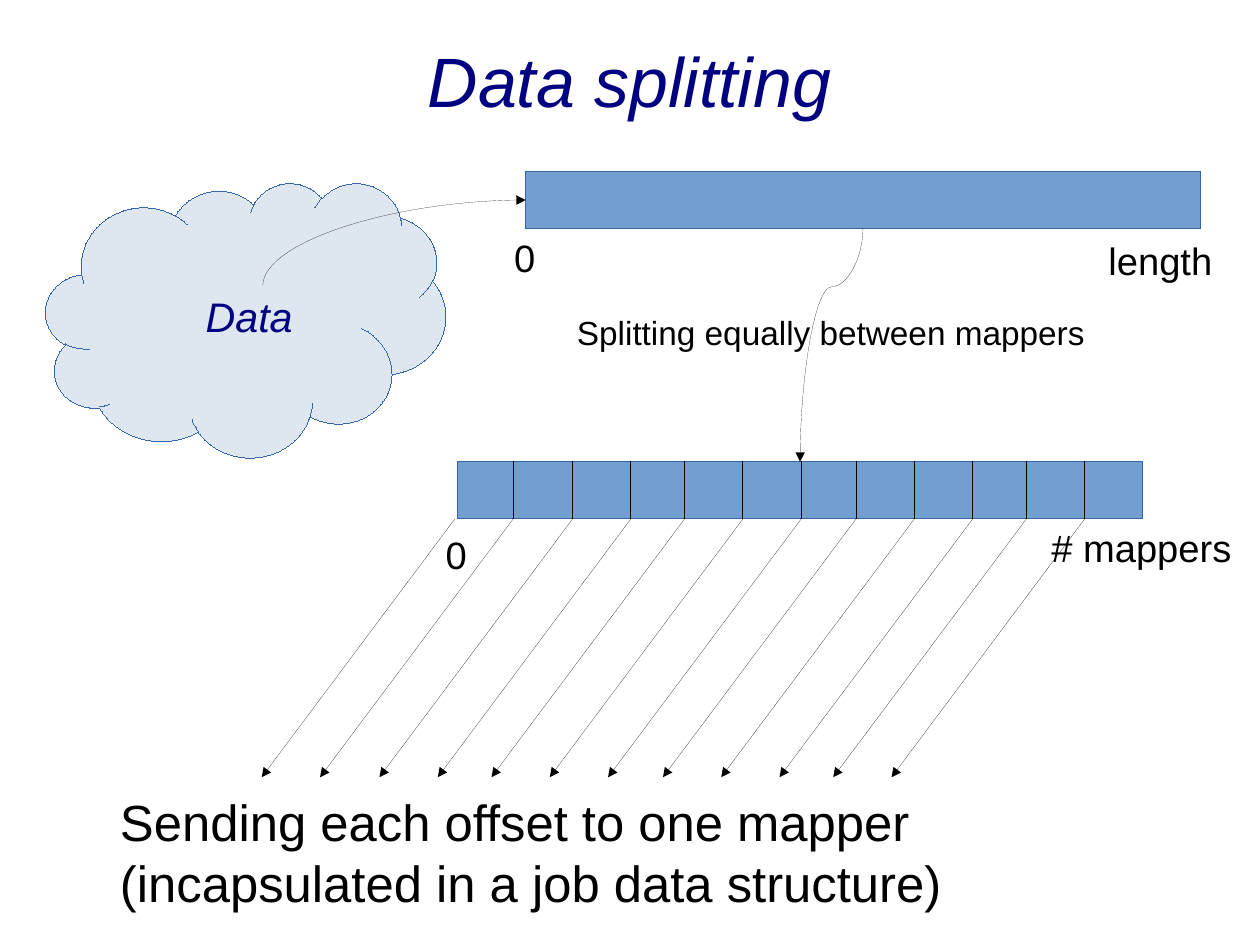
from lxml import etree
from pptx import Presentation
from pptx.dml.color import RGBColor
from pptx.enum import shapes, text
from pptx.oxml import ns
from pptx.util import Inches, Pt

COLORS = {"navy": "000080", "black": "000000", "bar": "729FCF", "cloud": "DEE6EF", "edge": "3465A4"}
SLIDE_SIZE = (28 / 2.54, 21 / 2.54)
FONT = "Arial"

TITLE = ("Data splitting", (0.55, 0.01, 9.92, 1.38))
SUMMARY = ("Sending each offset to one mapper (incapsulated in a job data structure)", (0.58, 6.92, 9.84, 1.3))
CLOUD_LABEL = ("Data", (1.7, 2.5, 1.2, 0.7))
LABELS = [
    ("length", (9.6, 2.03, 1.3, 0.57), 24),
    ("0", (4.4, 2, 0.6, 0.6), 24),
    ("Splitting equally between mappers", (4.95, 2.68, 4.77, 0.58), 21),
    ("0", (3.8, 4.6, 0.6, 0.6), 24),
    ("# mappers", (9.1, 4.54, 1.8, 1.21), 24),
]
CLOUD = (0.4, 1.6, 3.5, 2.4)
DATA_BAR = (4.6, 1.5, 5.9, 0.5)
MAPPER_BAR = (4, 4.04, 6, 0.5)
OFFSETS = [3.98, 4.49, 5.01, 5.52, 5.99, 6.5, 7.01, 7.49, 8, 8.51, 8.98, 9.49]
ARROW_SHIFT = 1.69
ARROW_END = 6.8
SPLIT_TARGET = 7

deck = Presentation()
deck.slide_width, deck.slide_height = map(Inches, SLIDE_SIZE)
slide = deck.slides.add_slide(deck.slide_layouts[6])


def rgb(name):
    return RGBColor.from_string(COLORS[name])


def add_text(words, box, size=24, color="black", italic=False, align=text.PP_ALIGN.LEFT,
             anchor=text.MSO_ANCHOR.TOP, margins=(0.1, 0.05), indent=0, after=0):
    frame = slide.shapes.add_textbox(*map(Inches, box)).text_frame
    frame.word_wrap = True
    frame.vertical_anchor = anchor
    frame.margin_left = frame.margin_right = Inches(margins[0])
    frame.margin_top = frame.margin_bottom = Inches(margins[1])
    paragraph = frame.paragraphs[0]
    paragraph.alignment = align
    paragraph.space_after = Pt(after)
    if indent:
        properties = paragraph._p.get_or_add_pPr()
        properties.set("marL", str(Inches(indent)))
        properties.set("indent", "0")
    run = paragraph.add_run()
    run.text = words
    run.font.name = FONT
    run.font.size = Pt(size)
    run.font.italic = italic
    run.font.color.rgb = rgb(color)


def set_hairline(line, color):
    line.color.rgb = rgb(color)
    outline = line._get_or_add_ln()
    outline.set("w", "0")
    return outline


def add_block(kind, box, fill):
    block = slide.shapes.add_shape(kind, *map(Inches, box))
    block.shadow.inherit = False
    block.fill.solid()
    block.fill.fore_color.rgb = rgb(fill)
    set_hairline(block.line, "edge")


def add_line(begin, end, kind=shapes.MSO_CONNECTOR.STRAIGHT, arrow=True):
    connector = slide.shapes.add_connector(kind, *map(Inches, (*begin, *end)))
    outline = set_hairline(connector.line, "black")
    if arrow:
        etree.SubElement(outline, ns.qn("a:tailEnd"), type="triangle")
    etree.SubElement(connector._element.spPr, ns.qn("a:effectLst"))
    return connector


def add_curve(begin, end, preset, flip=False, bend=None):
    middle_x, middle_y = (begin[0] + end[0]) / 2, (begin[1] + end[1]) / 2
    half_w, half_h = abs(end[1] - begin[1]) / 2, abs(end[0] - begin[0]) / 2
    curve = add_line((middle_x - half_w, middle_y - half_h), (middle_x + half_w, middle_y + half_h),
                     kind=shapes.MSO_CONNECTOR.CURVE)
    properties = curve._element.spPr
    frame = properties.find(ns.qn("a:xfrm"))
    frame.set("rot", "5400000")
    if flip:
        frame.set("flipH", "1")
        frame.set("flipV", "1")
    geometry = properties.find(ns.qn("a:prstGeom"))
    geometry.set("prst", preset)
    if bend is not None:
        guides = geometry.find(ns.qn("a:avLst"))
        etree.SubElement(guides, ns.qn("a:gd"), name="adj1", fmla=f"val {round(bend * 100000)}")


add_text(*TITLE, size=44, color="navy", italic=True, align=text.PP_ALIGN.CENTER,
         anchor=text.MSO_ANCHOR.MIDDLE, margins=(0, 0))
add_text(*SUMMARY, size=32, margins=(0, 0), indent=0.47, after=14.2)

add_block(shapes.MSO_SHAPE.CLOUD, CLOUD, "cloud")
add_text(*CLOUD_LABEL, size=26, color="navy", italic=True)
for bar in (DATA_BAR, MAPPER_BAR):
    add_block(shapes.MSO_SHAPE.RECTANGLE, bar, "bar")

data_left, data_top, data_width, data_height = DATA_BAR
mapper_top = MAPPER_BAR[1]
mapper_bottom = mapper_top + MAPPER_BAR[3]
add_curve((2.3, 2.5), (data_left, data_top + data_height / 2), "curvedConnector2", flip=True)
add_curve((data_left + data_width / 2, data_top + data_height), (SPLIT_TARGET, mapper_top),
          "curvedConnector3", bend=0.25)

for offset in OFFSETS[1:]:
    add_line((offset, mapper_top), (offset, mapper_bottom), arrow=False)
for offset in OFFSETS:
    add_line((offset, mapper_bottom), (offset - ARROW_SHIFT, ARROW_END))

for words, box, size in LABELS:
    add_text(words, box, size=size)

deck.save("out.pptx")
